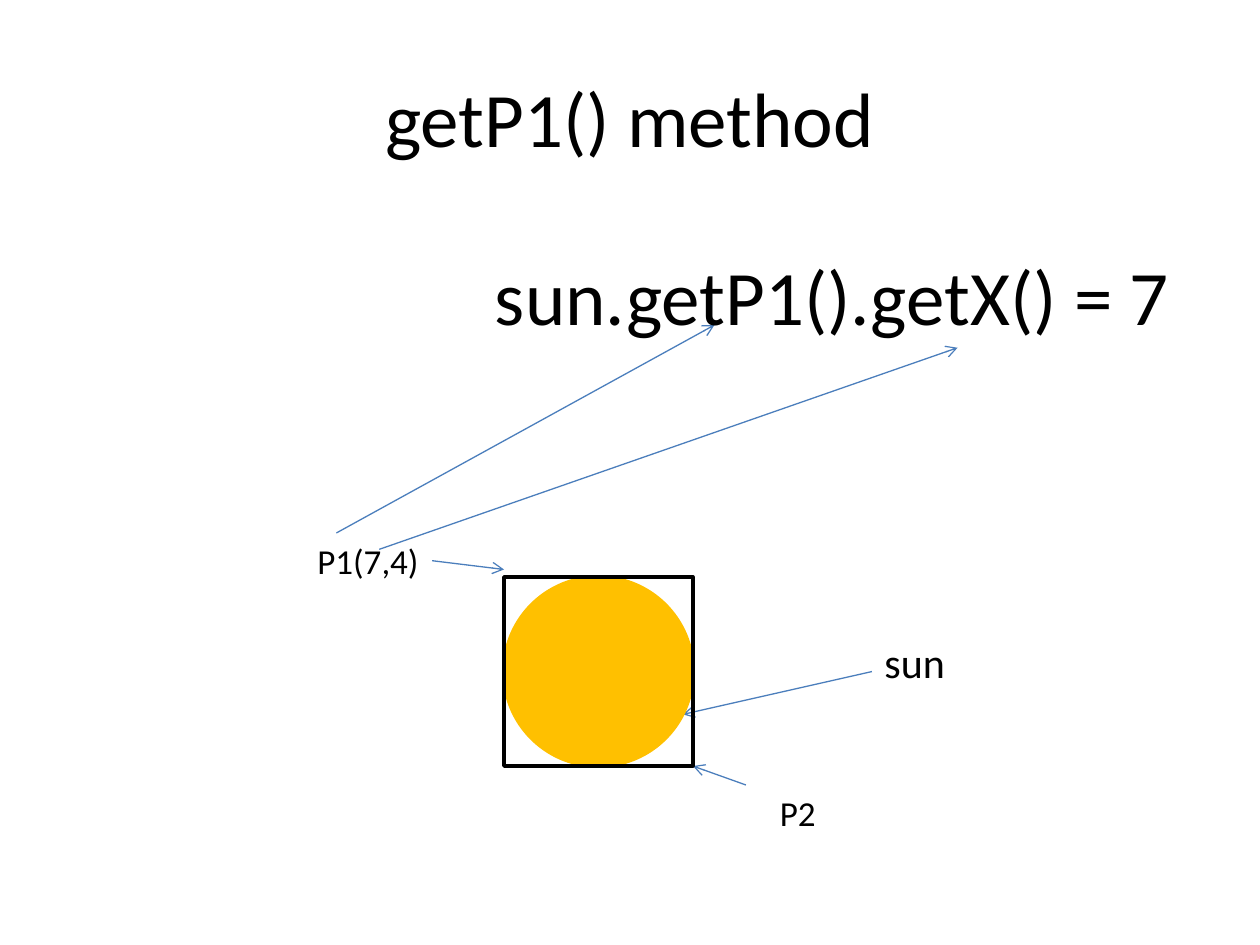
from pptx import Presentation
from pptx.dml.color import RGBColor
from pptx.enum.shapes import MSO_CONNECTOR, MSO_SHAPE
from pptx.enum.text import MSO_ANCHOR, MSO_AUTO_SIZE, PP_ALIGN
from pptx.oxml.ns import qn
from pptx.util import Inches, Pt
from lxml.etree import SubElement


def color(hex_string):
    return RGBColor.from_string(hex_string)


def write(frame, text, size):
    frame.text = text
    font = frame.paragraphs[0].runs[0].font
    for name, value in {"name": "Calibri", "size": Pt(size)}.items():
        setattr(font, name, value)
    font.color.rgb = color("000000")


deck = Presentation()
deck.slide_width, deck.slide_height = Inches(10), Inches(7.5)
slide = deck.slides.add_slide(deck.slide_layouts[5])

heading = slide.shapes.title
heading_place = {"left": 0.5, "top": 0.3, "width": 9, "height": 1.25}
for name, value in heading_place.items():
    setattr(heading, name, Inches(value))
write(heading.text_frame, "getP1() method", 44)
heading.text_frame.vertical_anchor = MSO_ANCHOR.MIDDLE
heading.text_frame.paragraphs[0].alignment = PP_ALIGN.CENTER

arrows = [
    (6.92, 5.33, 5.42, 5.67),
    (3.43, 4.45, 4, 4.52),
    (5.92, 6.23, 5.5, 6.08),
    (2.67, 4.23, 5.67, 2.58),
    (3.01, 4.36, 7.6, 2.76),
]
for ends in arrows:
    arrow = slide.shapes.add_connector(
        MSO_CONNECTOR.STRAIGHT, *[Inches(value) for value in ends])
    arrow.line.color.rgb = color("4B7EBC")
    arrow.line.width = Pt(0.75)
    SubElement(arrow.line._get_or_add_ln(), qn("a:tailEnd"), type="arrow")
    SubElement(arrow._element.spPr, qn("a:effectLst"))

sun_bounds = [Inches(value) for value in (4, 4.58, 1.5, 1.5)]
for outline, fill, edge in [
    (MSO_SHAPE.OVAL, "FFC000", "FFC000"),
    (MSO_SHAPE.RECTANGLE, None, "000000"),
]:
    figure = slide.shapes.add_shape(outline, *sun_bounds)
    figure.shadow.inherit = False
    if fill:
        figure.fill.solid()
        figure.fill.fore_color.rgb = color(fill)
    else:
        figure.fill.background()
    figure.line.color.rgb = color(edge)
    figure.line.width = Pt(2)

labels = [
    ("sun", 24, 6.92, 5, 0.69, 0.5),
    ("P1(7,4)", 20, 2.42, 4.23, 1.02, 0.44),
    ("P2", 20, 6.09, 6.23, 0.49, 0.44),
    ("sun.getP1().getX() = 7", 44, 3.83, 1.92, 5.61, 0.84),
]
for text, size, *place in labels:
    label = slide.shapes.add_textbox(*[Inches(value) for value in place])
    write(label.text_frame, text, size)
    label.text_frame.word_wrap = False
    label.text_frame.auto_size = MSO_AUTO_SIZE.SHAPE_TO_FIT_TEXT

deck.save("out.pptx")
